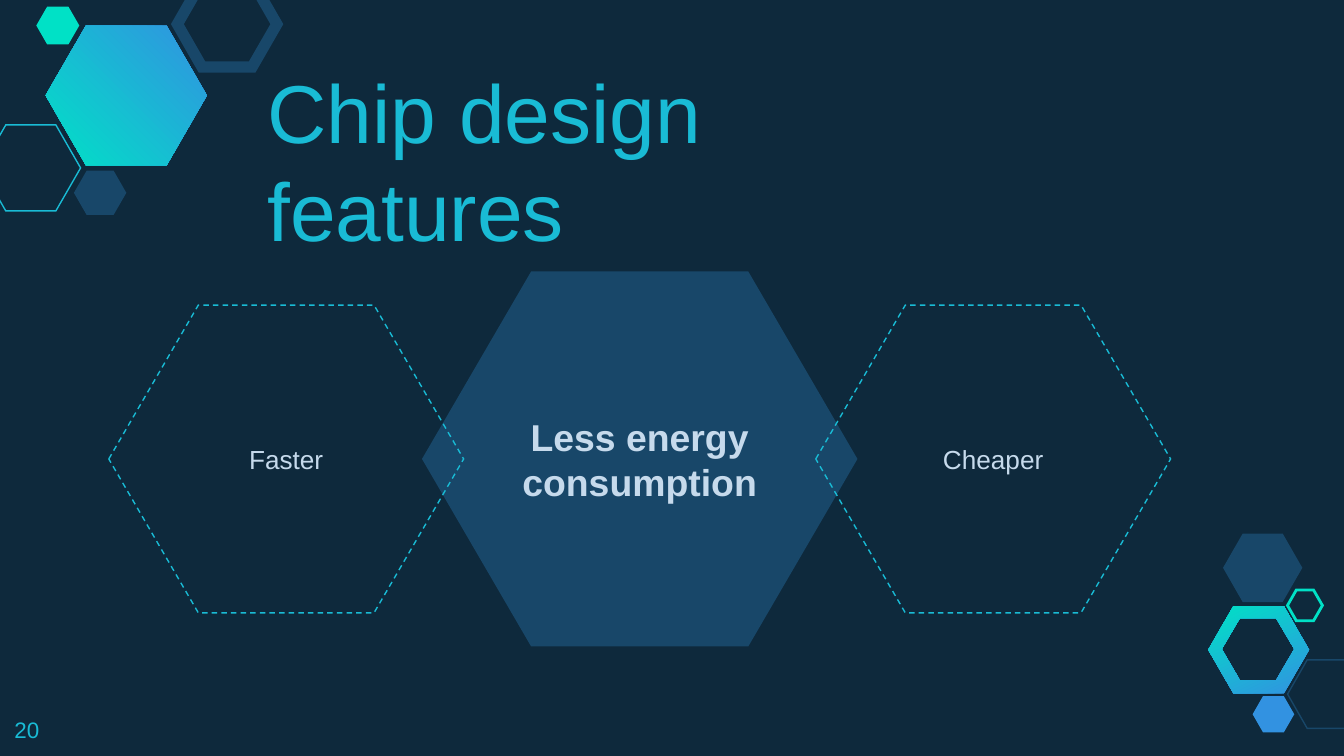
from dataclasses import dataclass
from typing import Optional

from lxml import etree
from pptx import Presentation
from pptx import util as u
from pptx.dml.color import RGBColor
from pptx.enum import dml, shapes, text
from pptx.oxml.ns import qn

NAVY = RGBColor(0x0E, 0x29, 0x3C)
STEEL = RGBColor(0x18, 0x47, 0x69)
CYAN = RGBColor(0x19, 0xBB, 0xD5)
MINT = RGBColor(0x00, 0xE1, 0xC6)
BLUE = RGBColor(0x32, 0x92, 0xE1)
PALE = RGBColor(0xC6, 0xDA, 0xEC)

WIDTH = u.Inches(10)
HEIGHT = WIDTH * 9 // 16
CELL = WIDTH // 100  # square grid, 100 columns across the slide
Box = tuple[float, float, float, float]  # column, row, columns wide, rows high


@dataclass
class Label:
    words: str
    size: int
    color: RGBColor
    bold: bool = False
    align: text.PP_ALIGN = text.PP_ALIGN.CENTER
    anchor: text.MSO_ANCHOR = text.MSO_ANCHOR.MIDDLE


@dataclass
class Hexagon:
    box: Box
    fill: Optional[RGBColor] = None
    line: Optional[RGBColor] = None
    weight: float = 0.75
    dashed: bool = False
    slant: float = 0.287
    label: Optional[Label] = None


@dataclass
class GradientHexagon:
    outlines: list[Box]
    angle: float


GRADIENTS = [
    GradientHexagon([(89.9, 45.1, 7.5, 6.5), (90.9, 46, 5.4, 4.6)], 116),
    GradientHexagon([(3.4, 1.9, 12, 10.4)], 225),
]
DECORATIONS = [
    Hexagon((-1.4, 9.3, 7.4, 6.4), line=CYAN),
    Hexagon((5.5, 12.7, 3.9, 3.3), fill=STEEL),
    Hexagon((13.2, -1.4, 7.4, 6.4), line=STEEL, weight=6),
    Hexagon((2.7, 0.5, 3.2, 2.8), fill=MINT),
    Hexagon((95.8, 49.1, 5.9, 5.1), line=STEEL),
    Hexagon((93.2, 51.8, 3.1, 2.7), fill=BLUE),
    Hexagon((91, 39.7, 5.9, 5.1), fill=STEEL),
    Hexagon((95.8, 43.9, 2.6, 2.3), line=MINT, weight=1.5),
]
FEATURES = [
    Hexagon((31.4, 20.2, 32.4, 27.9), fill=STEEL, slant=0.291,
            label=Label("Less energy consumption", 20, PALE, bold=True)),
] + [
    Hexagon((column, 22.7, 26.4, 22.9), line=CYAN, dashed=True, slant=0.291,
            label=Label(words, 14, PALE))
    for column, words in ((8.1, "Faster"), (60.7, "Cheaper"))
]
TITLE = Label("Chip design features", 44, CYAN, align=text.PP_ALIGN.LEFT,
              anchor=text.MSO_ANCHOR.BOTTOM)
NUMBER = Label("20", 12, CYAN, align=text.PP_ALIGN.LEFT, anchor=text.MSO_ANCHOR.TOP)


def cells(box: Box) -> list[int]:
    return [round(value * CELL) for value in box]


def write(sp, label: Label) -> None:
    tf = sp.text_frame
    frame = dict.fromkeys(("margin_left", "margin_top", "margin_right", "margin_bottom"), CELL)
    frame |= {"word_wrap": True, "auto_size": text.MSO_AUTO_SIZE.NONE,
              "vertical_anchor": label.anchor}
    for name, value in frame.items():
        setattr(tf, name, value)
    p = tf.paragraphs[0]
    p.alignment = label.align
    r = p.add_run()
    r.text = label.words
    font = {"name": "Arial", "size": u.Pt(label.size), "bold": label.bold}
    for name, value in font.items():
        setattr(r.font, name, value)
    r.font.color.rgb = label.color


def draw_hexagon(slide, item: Hexagon) -> None:
    sp = slide.shapes.add_shape(shapes.MSO_SHAPE.HEXAGON, *cells(item.box))
    sp.adjustments[0] = item.slant
    sp.shadow.inherit = False
    if item.fill is None:
        sp.fill.background()
    else:
        sp.fill.solid()
        sp.fill.fore_color.rgb = item.fill
    if item.line is None:
        sp.line.fill.background()
    else:
        sp.line.color.rgb = item.line
        sp.line.width = u.Pt(item.weight)
        if item.dashed:
            sp.line.dash_style = dml.MSO_LINE.DASH
        # sharp corners
        etree.SubElement(sp.element.spPr.find(qn("a:ln")), qn("a:miter"), lim="800000")
    if item.label:
        write(sp, item.label)


def corners(box: Box) -> list[tuple[int, int]]:
    """Six corners, with the flat sides a quarter of the width in."""
    x, y, w, h = cells(box)
    left, right = x + w // 4, x + w - w // 4
    middle = y + h // 2
    return [(x, middle), (left, y), (right, y), (x + w, middle), (right, y + h), (left, y + h)]


def draw_gradient(slide, item: GradientHexagon) -> None:
    """The second outline, if any, is a hole and runs the other way round."""
    first, *holes = [corners(box) for box in item.outlines]
    builder = slide.shapes.build_freeform(*first[0])
    builder.add_line_segments(first[1:])
    for hole in holes:
        builder.move_to(*hole[0])
        builder.add_line_segments(hole[:0:-1])
    sp = builder.convert_to_shape()
    sp.shadow.inherit = False
    sp.line.fill.background()
    sp.fill.gradient()
    sp.fill.gradient_angle = item.angle
    for stop, color in zip(sp.fill.gradient_stops, (BLUE, MINT)):
        stop.color.rgb = color


def main() -> None:
    prs = Presentation()
    prs.slide_width, prs.slide_height = WIDTH, HEIGHT
    slide = prs.slides.add_slide(prs.slide_layouts[5])
    slide.background.fill.solid()
    slide.background.fill.fore_color.rgb = NAVY

    for item in GRADIENTS:
        draw_gradient(slide, item)
    for item in DECORATIONS + FEATURES:
        draw_hexagon(slide, item)

    title = slide.shapes.title
    title.left, title.top, title.width, title.height = cells((18.9, 13.1, 54.1, 7.1))
    write(title, TITLE)
    write(slide.shapes.add_textbox(*cells((0.1, 52.3, 6, 3.9))), NUMBER)
    prs.save("out.pptx")


if __name__ == "__main__":
    main()
